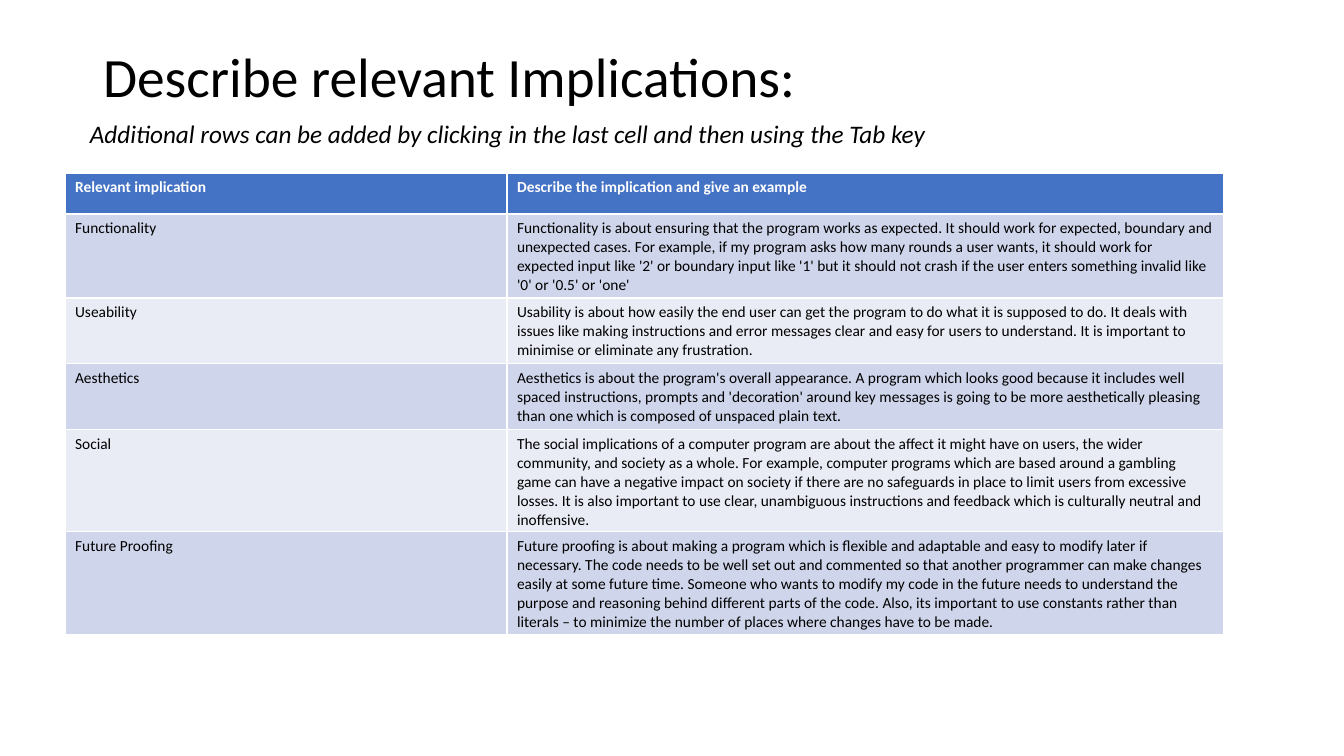
from pptx import Presentation
from pptx.dml.color import RGBColor
from pptx.enum.text import MSO_ANCHOR, MSO_AUTO_SIZE, PP_ALIGN
from pptx.util import Emu, Pt

SCALE = 914400 / 100.8
COLORS = {
    "text": "000000",
    "header_text": "FFFFFF",
    "header": "4472C4",
    "band_dark": "CFD5EA",
    "band_light": "E9EBF5",
}
IMPLICATIONS = [
    ("Relevant implication", "Describe the implication and give an example"),
    ("Functionality",
     "Functionality is about ensuring that the program works as expected. It should work for "
     "expected, boundary and unexpected cases. For example, if my program asks how many rounds "
     "a user wants, it should work for expected input like '2' or boundary input like '1' but it "
     "should not crash if the user enters something invalid like '0' or '0.5' or 'one'"),
    ("Useability",
     "Usability is about how easily the end user can get the program to do what it is supposed "
     "to do. It deals with issues like making instructions and error messages clear and easy for "
     "users to understand. It is important to minimise or eliminate any frustration."),
    ("Aesthetics",
     "Aesthetics is about the program's overall appearance. A program which looks good because "
     "it includes well spaced instructions, prompts and 'decoration' around key messages is going "
     "to be more aesthetically pleasing than one which is composed of unspaced plain text."),
    ("Social",
     "The social implications of a computer program are about the affect it might have on users, "
     "the wider community, and society as a whole. For example, computer programs which are based "
     "around a gambling game can have a negative impact on society if there are no safeguards in "
     "place to limit users from excessive losses. It is also important to use clear, unambiguous "
     "instructions and feedback which is culturally neutral and inoffensive."),
    ("Future Proofing",
     "Future proofing is about making a program which is flexible and adaptable and easy to modify "
     "later if necessary. The code needs to be well set out and commented so that another "
     "programmer can make changes easily at some future time. Someone who wants to modify my code "
     "in the future needs to understand the purpose and reasoning behind different parts of the "
     "code. Also, its important to use constants rather than literals – to minimize the number of "
     "places where changes have to be made."),
]


def px(*values):
    return [Emu(round(value * SCALE)) for value in values]


def write_text(frame, text, size, color="text", bold=False, italic=False, spacing=None):
    para = frame.paragraphs[0]
    para.alignment = PP_ALIGN.LEFT
    para.line_spacing = spacing
    span = para.add_run()
    span.text = text
    span.font.name = "Calibri"
    span.font.size = Pt(size)
    span.font.bold = bold
    span.font.italic = italic
    span.font.color.rgb = RGBColor.from_string(COLORS[color])


deck = Presentation()
deck.slide_width, deck.slide_height = px(1344, 756)
page = deck.slides.add_slide(deck.slide_layouts[5])

title = page.shapes.title
title.left, title.top, title.width, title.height = px(93, 40, 1159, 61)
title.text_frame.auto_size = MSO_AUTO_SIZE.NONE
title.text_frame.vertical_anchor = MSO_ANCHOR.MIDDLE
write_text(title.text_frame, "Describe relevant Implications:", 39.6, spacing=1.15)

hint_box = page.shapes.add_textbox(*px(80, 113, 1103, 40))
hint_box.text_frame.word_wrap = True
hint_box.text_frame.auto_size = MSO_AUTO_SIZE.SHAPE_TO_FIT_TEXT
write_text(hint_box.text_frame,
           "Additional rows can be added by clicking in the last cell and then using the Tab key",
           18, italic=True)

table_frame = page.shapes.add_table(len(IMPLICATIONS), 2, *px(65, 173, 1159, 461))
table = table_frame.table
for column, width in zip(table.columns, px(442, 717)):
    column.width = width

for row_index, texts in enumerate(IMPLICATIONS):
    table.rows[row_index].height = px(41)[0]
    is_header = row_index == 0
    fill = "header" if is_header else "band_dark" if row_index % 2 else "band_light"
    for column_index, text in enumerate(texts):
        cell = table.cell(row_index, column_index)
        cell.fill.solid()
        cell.fill.fore_color.rgb = RGBColor.from_string(COLORS[fill])
        write_text(cell.text_frame, text, 11,
                   color="header_text" if is_header else "text", bold=is_header)
table_frame.height = px(461)[0]

deck.save("out.pptx")
